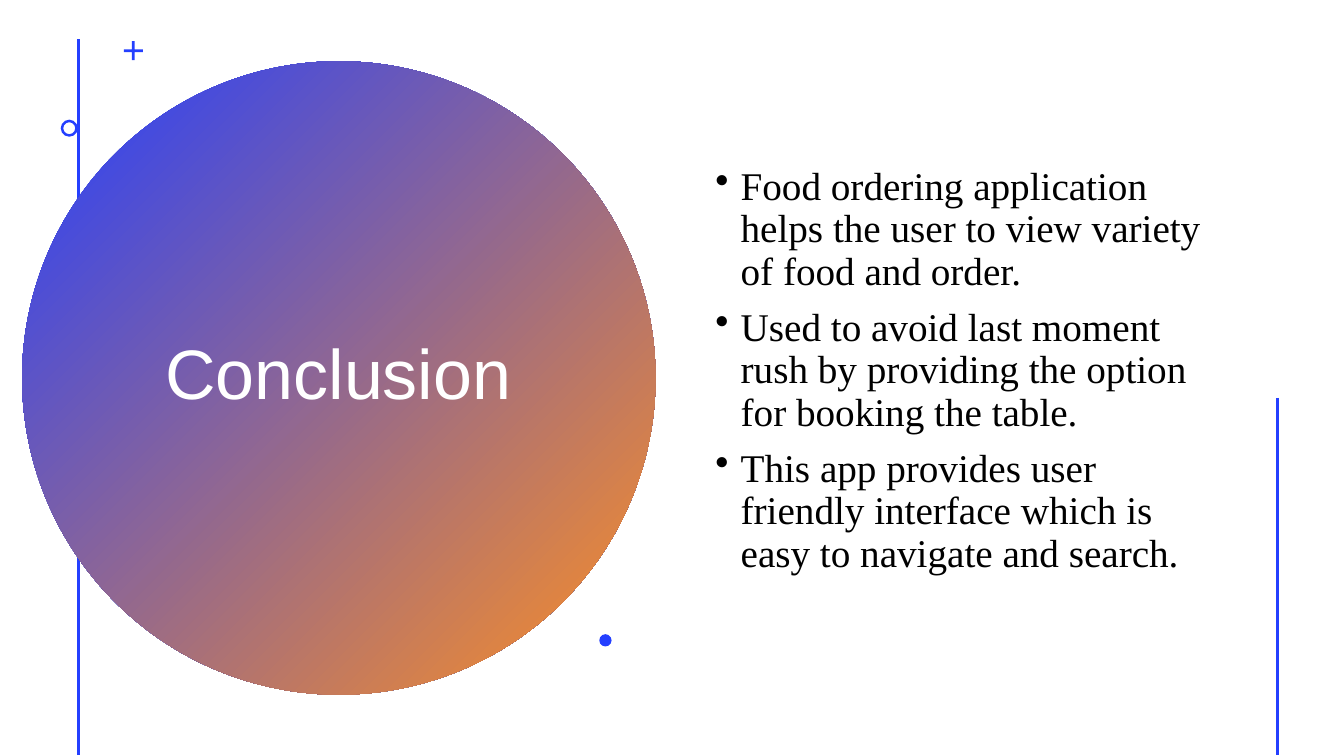
from lxml import etree
from pptx import Presentation
from pptx import util as u
from pptx.dml.color import RGBColor
from pptx.enum import shapes, text
from pptx.oxml import ns

BLUE, GOLD, WHITE, BLACK = "243FFF", "FF9022", "FFFFFF", "000000"
POINTS = [
    "Food ordering application helps the user to view variety of food and order.",
    "Used to avoid last moment rush\u00a0by\u00a0providing\u00a0the option for booking the table.",
    "This app provides user friendly interface which is easy\u00a0to navigate and search.",
]


def hue(code):
    """Turn a hex string into a colour."""
    return RGBColor.from_string(code)


def put(item, values):
    """Set every attribute listed in a dict."""
    for name, value in values.items():
        setattr(item, name, value)


def paint(shape, code):
    """Give a shape a flat fill with no line or shadow."""
    shape.shadow.inherit = False
    shape.line.fill.background()
    shape.fill.solid()
    shape.fill.fore_color.rgb = hue(code)


def ring(slide, kind, left, top, size, code=BLUE):
    """Add a round preset shape."""
    box = map(u.Pt, (left, top, size, size))
    shape = slide.shapes.add_shape(kind, *box)
    paint(shape, code)
    return shape


def blend(shape, first, last):
    """Fill a shape from its top left to its bottom right."""
    shape.fill.gradient()
    shape.fill.gradient_angle = 315
    for stop, code, place in zip(shape.fill.gradient_stops, (first, last), (0, 1)):
        stop.color.rgb = hue(code)
        stop.position = place


def rule(slide, x, top, end):
    """Add an upright line."""
    line = slide.shapes.add_connector(
        shapes.MSO_CONNECTOR.STRAIGHT, *map(u.Pt, (x, top, x, end)))
    line.line.width = u.Pt(2)
    line.line.color.rgb = hue(BLUE)
    etree.SubElement(line._element.spPr, ns.qn("a:effectLst"))


def plus(slide, x, y, arm, half):
    """Add a thin plus sign around a centre."""
    turns = [(1, 1), (-1, 1), (-1, -1), (1, -1)]
    dots = []
    for i, (a, b) in enumerate(turns):
        pair = [(a * arm, b * half), (a * half, b * half), (a * half, b * arm)]
        dots += pair[::-1] if i % 2 else pair
    dots = [(u.Pt(x + a), u.Pt(y + b)) for a, b in dots]
    build = slide.shapes.build_freeform(*dots[0])
    build.add_line_segments(dots[1:], close=True)
    paint(build.convert_to_shape(), BLUE)


def dot(para):
    """Give a paragraph a hanging bullet."""
    props = para._p.get_or_add_pPr()
    props.set("marL", str(u.Pt(18)))
    props.set("indent", str(u.Pt(-18)))
    etree.SubElement(props, ns.qn("a:buChar"), char="\u2022")


def words(slide, box, lines, font, code, form, mark=False):
    """Add a text box centred on its height."""
    frame = slide.shapes.add_textbox(*map(u.Pt, box)).text_frame
    put(frame, {"word_wrap": True, "vertical_anchor": text.MSO_ANCHOR.MIDDLE})
    for i, line in enumerate(lines):
        para = frame.add_paragraph() if i else frame.paragraphs[0]
        put(para, form)
        if mark:
            dot(para)
        run = para.add_run()
        run.text = line
        put(run.font, font)
        run.font.color.rgb = hue(code)


def main():
    """Build the slide and save it."""
    deck = Presentation()
    put(deck, {"slide_width": u.Pt(960), "slide_height": u.Pt(540)})
    slide = deck.slides.add_slide(deck.slide_layouts[6])
    kinds = shapes.MSO_SHAPE

    rule(slide, 56, 28, 539.5)
    blend(ring(slide, kinds.OVAL, 15.75, 43.75, 452.5), BLUE, GOLD)
    words(slide, (98, 101.5, 287.5, 336), ["Conclusion"],
          {"name": "Arial", "size": u.Pt(50)}, WHITE,
          {"alignment": text.PP_ALIGN.CENTER, "line_spacing": 0.9})
    plus(slide, 95.25, 36.25, 6.8, 1)
    circle = ring(slide, kinds.DONUT, 43.4, 85.5, 12.2)
    circle.adjustments[0] = 0.15
    words(slide, (504, 30, 368.5, 470), POINTS,
          {"name": "Times New Roman", "size": u.Pt(28)}, BLACK,
          {"alignment": text.PP_ALIGN.LEFT, "line_spacing": 0.9,
           "space_before": u.Pt(10)}, mark=True)
    ring(slide, kinds.OVAL, 428.1, 453, 8.8)
    rule(slide, 912.25, 284.25, 539.5)
    deck.save("out.pptx")


main()
